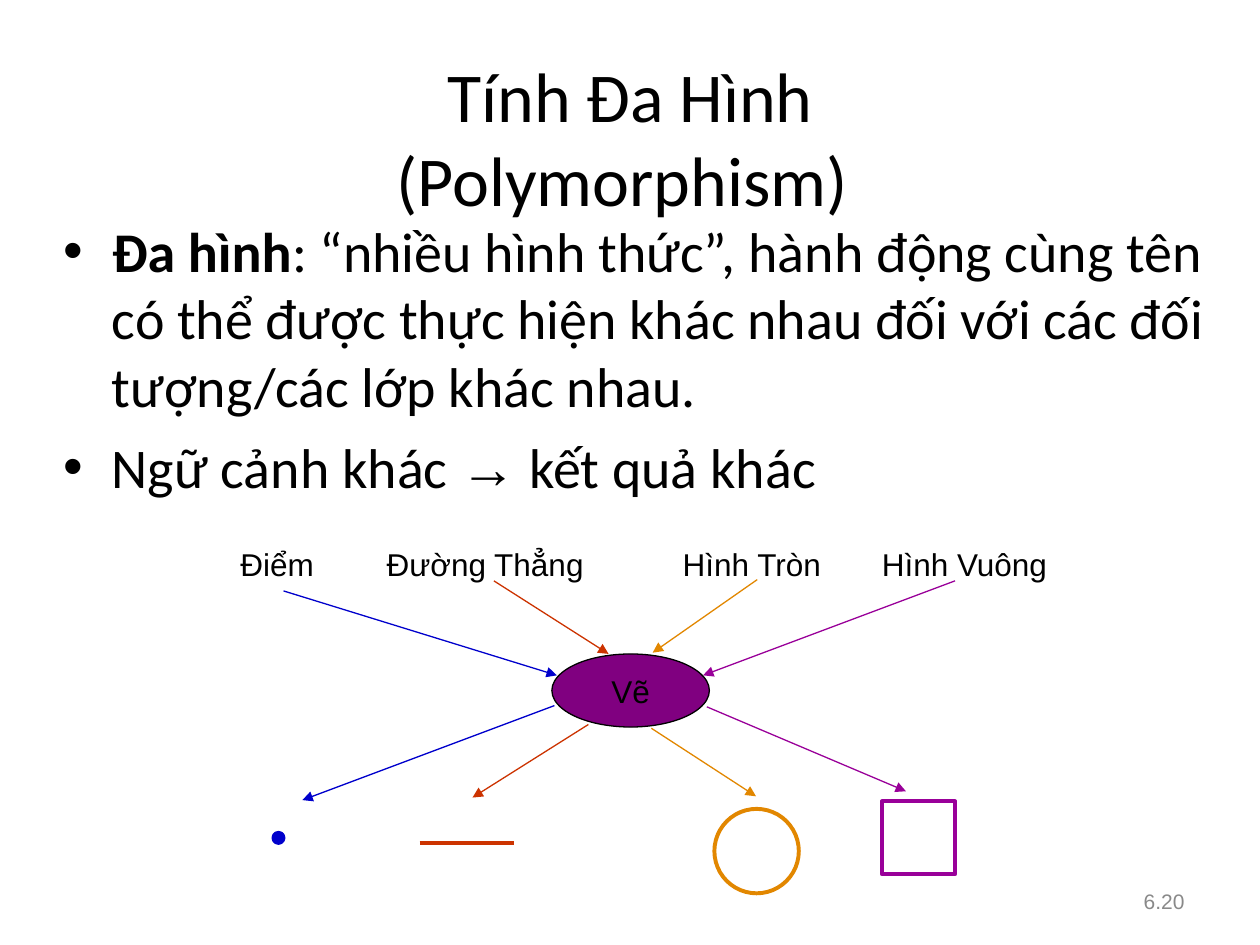
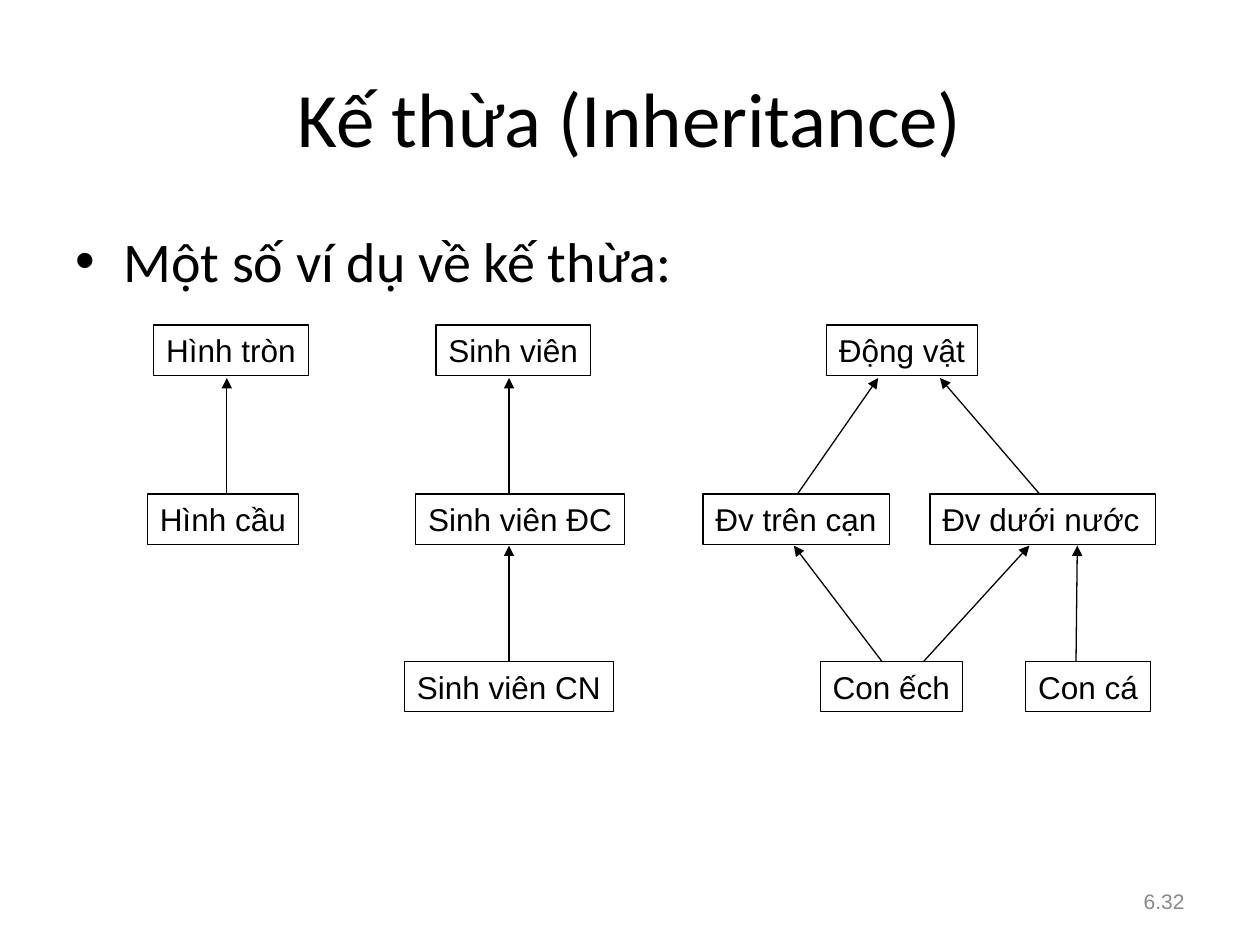
from lxml import etree
from pptx import Presentation
from pptx.dml.color import RGBColor
from pptx.enum import shapes, text
from pptx.oxml import ns
from pptx.util import Inches, Pt

BLACK = RGBColor(0x00, 0x00, 0x00)
GRAY = RGBColor(0x89, 0x89, 0x89)
BLUE = RGBColor(0x00, 0x00, 0xCC)
RED = RGBColor(0xCC, 0x33, 0x00)
ORANGE = RGBColor(0xE2, 0x87, 0x00)
VIOLET = RGBColor(0x99, 0x00, 0x99)
PURPLE = RGBColor(0x80, 0x00, 0x80)

HEADING_FONT, LABEL_FONT = "Calibri", "Arial"
LEFT, CENTER, RIGHT = text.PP_ALIGN.LEFT, text.PP_ALIGN.CENTER, text.PP_ALIGN.RIGHT
TOP, MIDDLE = text.MSO_ANCHOR.TOP, text.MSO_ANCHOR.MIDDLE
RECT, OVAL = shapes.MSO_SHAPE.RECTANGLE, shapes.MSO_SHAPE.OVAL
LABEL_HEIGHT = 0.4


def write(frame, paragraphs, font=LABEL_FONT, size=18, color=BLACK, align=LEFT,
          anchor=TOP, wrap=True, grow=False, bullet=False):
    """Fill a text frame; a paragraph is a list of (words, font changes) runs."""
    frame.word_wrap = wrap
    frame.vertical_anchor = anchor
    frame.auto_size = (text.MSO_AUTO_SIZE.SHAPE_TO_FIT_TEXT if grow
                       else text.MSO_AUTO_SIZE.NONE)
    for index, runs in enumerate(paragraphs):
        paragraph = frame.add_paragraph() if index else frame.paragraphs[0]
        paragraph.alignment = align
        if bullet:
            add_bullet(paragraph)
        for words, changes in runs:
            for line_index, line in enumerate(words.split("\n")):
                if line_index:
                    paragraph.add_line_break()
                run = paragraph.add_run()
                run.text = line
                run.font.name = changes.get("font", font)
                run.font.bold = changes.get("bold", False)
                run.font.size = Pt(size)
                run.font.color.rgb = color


def add_bullet(paragraph):
    paragraph.space_before = Pt(8)
    props = paragraph._p.get_or_add_pPr()
    props.set("marL", str(Inches(0.38)))
    props.set("indent", str(-Inches(0.38)))
    etree.SubElement(props, ns.qn("a:buFont"), typeface=LABEL_FONT)
    etree.SubElement(props, ns.qn("a:buChar"), char="•")


def add_text(slide, at, paragraphs, **style):
    box = slide.shapes.add_textbox(*map(Inches, at))
    write(box.text_frame, paragraphs, **style)


def add_figure(slide, kind, at, line, fill=None, weight=0.75):
    figure = slide.shapes.add_shape(kind, *map(Inches, at))
    figure.shadow.inherit = False
    figure.line.color.rgb = line
    figure.line.width = Pt(weight)
    if fill is None:
        figure.fill.background()
    else:
        figure.fill.solid()
        figure.fill.fore_color.rgb = fill
    return figure


def add_line(slide, start, end, color=BLACK, weight=0.75, arrow=True):
    line = slide.shapes.add_connector(
        shapes.MSO_CONNECTOR.STRAIGHT, *map(Inches, (*start, *end)))
    line.line.color.rgb = color
    line.line.width = Pt(weight)
    if arrow:
        etree.SubElement(line.line._get_or_add_ln(), ns.qn("a:tailEnd"), type="triangle")
    etree.SubElement(line._element.spPr, ns.qn("a:effectLst"))


def add_class_box(slide, name, left, top, width):
    box = add_figure(slide, RECT, (left, top, width, LABEL_HEIGHT), BLACK)
    write(box.text_frame, [[(name, {})]], wrap=False, grow=True)


def start_slide(deck, title, title_at, title_size, body, body_at, number):
    """Title, bulleted body and page number shared by all slides."""
    slide = deck.slides.add_slide(deck.slide_layouts[5])
    heading = slide.shapes.title
    heading.left, heading.top, heading.width, heading.height = map(Inches, title_at)
    write(heading.text_frame, [[(title, {})]], font=HEADING_FONT, size=title_size,
          align=CENTER, anchor=MIDDLE)
    add_text(slide, body_at, body, font=HEADING_FONT, size=32, bullet=True)
    add_text(slide, (7.17, 6.95, 2.33, 0.4), [[(number, {})]], size=12, color=GRAY,
             align=RIGHT, anchor=MIDDLE)
    return slide


def build_polymorphism(deck):
    body = [
        [("Đa hình", {"bold": True}),
         (": “nhiều hình thức”, hành động cùng tên có thể được thực hiện khác nhau "
          "đối với các đối tượng/các lớp khác nhau.", {})],
        [("Ngữ cảnh khác ", {}), ("→", {"font": LABEL_FONT}), (" kết quả khác", {})],
    ]
    slide = start_slide(deck, "Tính Đa Hình\n(Polymorphism) ", (0.5, 0.33, 9, 1.5), 40,
                        body, (0.41, 1.67, 9.3, 4.25), "6.20")

    # Shared action in the middle
    action = add_figure(slide, OVAL, (4.38, 5.19, 1.25, 0.58), BLACK, PURPLE)
    write(action.text_frame, [[("Vẽ", {})]], align=CENTER, anchor=MIDDLE, wrap=False)

    # Each kind: name, left, width, colour, arrow to the action, arrow to its result
    kinds = [
        ("Điểm", 1.81, 0.78, BLUE,
         ((2.25, 4.69), (4.42, 5.36)), ((4.4, 5.6), (2.4, 6.35))),
        ("Đường Thẳng", 2.97, 1.77, RED,
         ((3.92, 4.61), (4.83, 5.19)), ((4.67, 5.75), (3.75, 6.33))),
        ("Hình Tròn", 5.32, 1.31, ORANGE,
         ((6.01, 4.6), (5.18, 5.18)), ((5.17, 5.78), (6, 6.32))),
        ("Hình Vuông", 6.9, 1.52, VIOLET,
         ((7.58, 4.61), (5.58, 5.36)), ((5.61, 5.61), (7.19, 6.28))),
    ]
    for name, left, width, color, call, result in kinds:
        add_text(slide, (left, 4.28, width, LABEL_HEIGHT), [[(name, {})]],
                 wrap=False, grow=True)
        add_line(slide, *call, color)
        add_line(slide, *result, color)

    # Drawn results: point, line, circle, square
    add_figure(slide, OVAL, (2.17, 6.61, 0.08, 0.08), BLUE, BLUE, weight=2.25)
    add_line(slide, (3.33, 6.69), (4.08, 6.69), RED, weight=2.25, arrow=False)
    add_figure(slide, OVAL, (5.67, 6.42, 0.67, 0.67), ORANGE, weight=2.25)
    add_figure(slide, RECT, (7, 6.36, 0.58, 0.58), VIOLET, weight=2.25)


def build_inheritance(deck):
    slide = start_slide(deck, "Kế thừa (Inheritance)", (0.5, 0.3, 9, 1.25), 44,
                        [[("Một số ví dụ về kế thừa:", {})]], (0.5, 1.75, 9, 4.95),
                        "6.32")

    # Class boxes by level: name, left, width
    levels = [
        (2.58, [("Hình tròn", 1.22, 1.23), ("Sinh viên", 3.46, 1.23),
                ("Động vật", 6.56, 1.2)]),
        (3.92, [("Hình cầu", 1.17, 1.2), ("Sinh viên ĐC", 3.3, 1.66),
                ("Đv trên cạn", 5.58, 1.48), ("Đv dưới nước", 7.38, 1.79)]),
        (5.25, [("Sinh viên CN", 3.21, 1.66), ("Con ếch", 6.51, 1.13),
                ("Con cá", 8.14, 0.99)]),
    ]
    for top, classes in levels:
        for name, left, width in classes:
            add_class_box(slide, name, left, top, width)

    # Arrows from child to parent: x at the child, x at the parent
    links = [
        (3.92, 3, [(1.8, 1.8), (4.04, 4.04), (6.33, 6.97), (8.25, 7.46)]),
        (5.25, 4.33, [(4.04, 4.04), (7, 6.3), (7.33, 8.17), (8.54, 8.55)]),
    ]
    for child_y, parent_y, pairs in links:
        for child_x, parent_x in pairs:
            add_line(slide, (child_x, child_y), (parent_x, parent_y))


def main():
    deck = Presentation()
    deck.slide_width, deck.slide_height = Inches(10), Inches(7.5)
    build_polymorphism(deck)
    build_inheritance(deck)
    deck.save("out.pptx")


if __name__ == "__main__":
    main()
